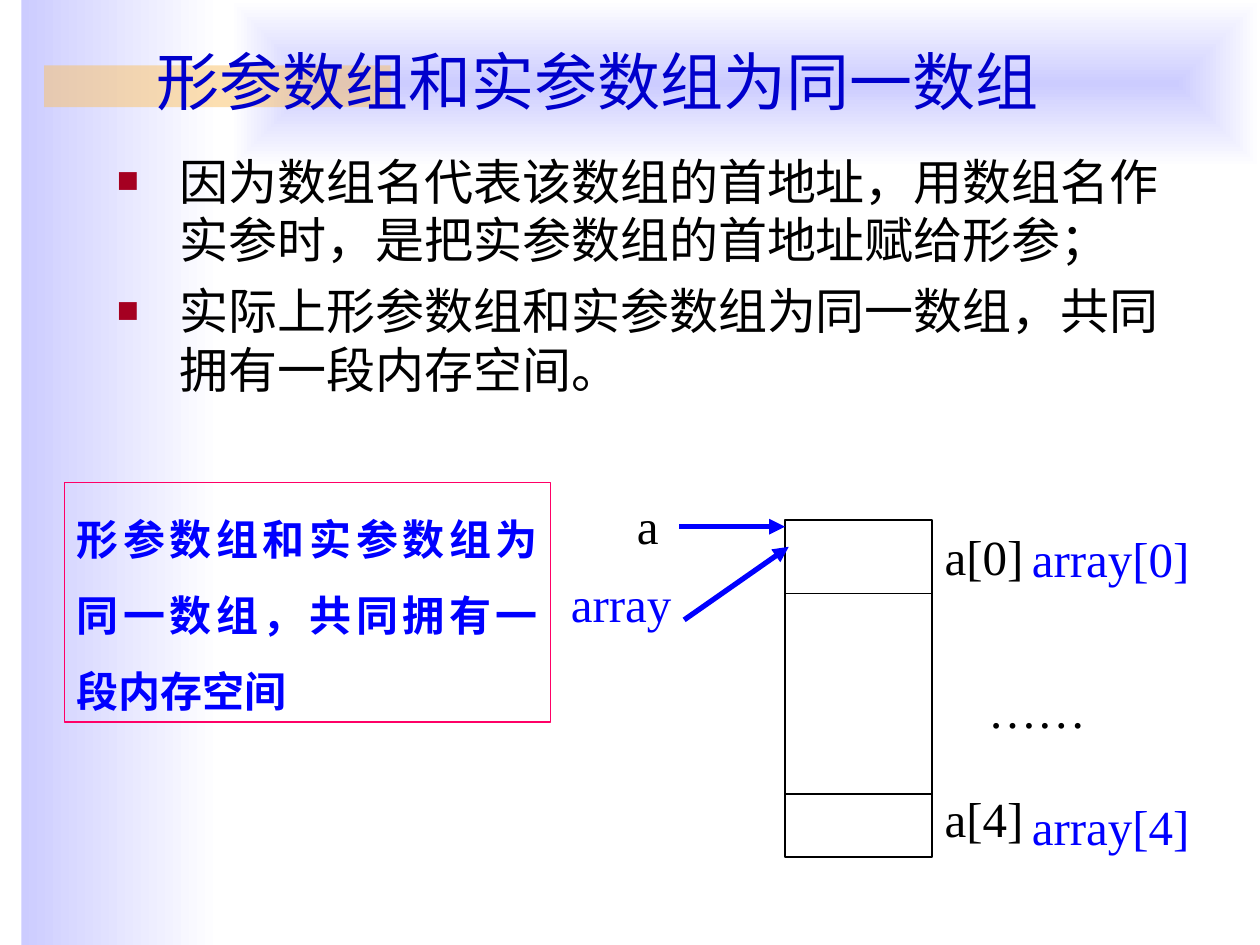
from lxml import etree
from pptx import Presentation
from pptx import util as u
from pptx.dml.color import RGBColor
from pptx.enum import shapes, text
from pptx.oxml import parse_xml
from pptx.oxml.ns import nsdecls, qn

TITLE = "形参数组和实参数组为同一数组"
POINTS = [
    "因为数组名代表该数组的首地址，用数组名作实参时，是把实参数组的首地址赋给形参；",
    "实际上形参数组和实参数组为同一数组，共同拥有一段内存空间。",
]
NOTE = "形参数组和实参数组为同一数组，共同拥有一段内存空间"

THEME = dict(
    latin="Times New Roman", cjk="Noto Sans CJK SC",
    title="0000CC", ink="000000", blue="0000FF", mark="A50021",
    frame="FF0066", pale="CCCCFF", white="FFFFFF", gold="FAC164",
    head=36, body=28, note=24,
)

# text, box, colour
LABELS = [
    ("a", (4.9, 3.88, 0.48, 0.57), "ink"),
    ("array", (4.43, 4.5, 1, 0.57), "blue"),
    ("a[0]", (7.4, 4.13, 0.82, 0.57), "ink"),
    ("a[4]", (7.4, 6.21, 0.82, 0.57), "ink"),
    ("array[0]", (8.03, 4.14, 1.57, 0.57), "blue"),
    ("array[4]", (8.03, 6.27, 1.57, 0.57), "blue"),
    ("……", (7.52, 5.34, 1.42, 0.57), "ink"),
]
MEMORY = (6.23, 4.13, 1.17, 2.67)
ROWS = [4.71, 6.3]
ARROWS = [(5.39, 4.18, 6.23, 4.18), (5.43, 4.92, 6.26, 4.34)]


def tint(name):
    return RGBColor.from_string(THEME[name])


def inch(box):
    return [u.Inches(v) for v in box]


def place(shape, box):
    shape.left, shape.top, shape.width, shape.height = inch(box)


def write(para, words, size, color, bold=False, latin="latin"):
    run = para.add_run()
    run.text = words
    font = run.font
    font.name, font.size, font.bold = THEME[latin], u.Pt(THEME[size]), bold
    font.color.rgb = tint(color)
    east = etree.SubElement(run._r.get_or_add_rPr(), qn("a:ea"))
    east.set("typeface", THEME["cjk"])


def rect(slide, box):
    shape = slide.shapes.add_shape(shapes.MSO_SHAPE.RECTANGLE, *inch(box))
    shape.shadow.inherit = False
    shape.line.fill.background()
    return shape


def fade(shape, way):
    """Fill with a pale-to-white gradient; way is the XML of its direction."""
    shape.fill.background()
    props = shape._element.spPr
    props.replace(props.find(qn("a:noFill")), parse_xml(
        f'<a:gradFill {nsdecls("a")} rotWithShape="0"><a:gsLst>'
        f'<a:gs pos="0"><a:srgbClr val="{THEME["pale"]}"/></a:gs>'
        f'<a:gs pos="100000"><a:srgbClr val="{THEME["white"]}"/></a:gs>'
        f'</a:gsLst>{way}</a:gradFill>'))


def line(slide, ends, color, width, arrow=False):
    link = slide.shapes.add_connector(
        shapes.MSO_CONNECTOR.STRAIGHT, *inch(ends))
    link.line.color.rgb = tint(color)
    link.line.width = u.Pt(width)
    if arrow:
        tail = etree.SubElement(link.line._get_or_add_ln(), qn("a:tailEnd"))
        tail.set("type", "triangle")
    etree.SubElement(link._element.spPr, qn("a:effectLst"))


def bullet(para):
    props = para._p.get_or_add_pPr()
    props.set("marL", str(u.Inches(0.5)))
    props.set("indent", str(-u.Inches(0.5)))
    color = etree.SubElement(props, qn("a:buClr"))
    etree.SubElement(color, qn("a:srgbClr")).set("val", THEME["mark"])
    etree.SubElement(props, qn("a:buSzPct")).set("val", "75000")
    etree.SubElement(props, qn("a:buFont")).set("typeface", THEME["latin"])
    etree.SubElement(props, qn("a:buChar")).set("char", "■")


def textbox(slide, box):
    shape = slide.shapes.add_textbox(*inch(box))
    shape.text_frame.word_wrap = True
    return shape


def backdrop(slide):
    fade(rect(slide, (0.17, 0, 1.58, 7.5)), '<a:lin ang="0" scaled="1"/>')
    fade(rect(slide, (1.83, 0, 8.17, 1.33)),
         '<a:path path="rect"><a:fillToRect l="50000" t="50000" '
         'r="50000" b="50000"/></a:path>')
    bar = rect(slide, (0.35, 0.52, 2.75, 0.33))
    bar.fill.solid()
    bar.fill.fore_color.rgb = tint("gold")
    color = bar._element.spPr.find(qn("a:solidFill"))[0]
    etree.SubElement(color, qn("a:alpha")).set("val", "50000")


def heading(slide):
    title = slide.shapes.title
    place(title, (1.14, -0.03, 8.5, 1.02))
    frame = title.text_frame
    frame.vertical_anchor = text.MSO_ANCHOR.BOTTOM
    frame.word_wrap = True
    para = frame.paragraphs[0]
    para.alignment = text.PP_ALIGN.LEFT
    write(para, TITLE, "head", "title")
    # bring the title in front of the backdrop
    slide.shapes._spTree.append(title._element)


def points(slide):
    frame = textbox(slide, (0.83, 1.15, 8.5, 2.2)).text_frame
    for i, words in enumerate(POINTS):
        para = frame.add_paragraph() if i else frame.paragraphs[0]
        bullet(para)
        if i:
            para.space_before = u.Pt(7)
        write(para, words, "body", "ink")


def note(slide):
    box = textbox(slide, (0.51, 3.83, 3.86, 1.9))
    box.line.color.rgb = tint("frame")
    box.line.width = u.Pt(0.75)
    para = box.text_frame.paragraphs[0]
    para.alignment = text.PP_ALIGN.JUSTIFY
    para.line_spacing = 1.5
    write(para, NOTE, "note", "blue", True, "cjk")


def diagram(slide):
    cells = rect(slide, MEMORY)
    cells.fill.background()
    cells.line.color.rgb = tint("ink")
    cells.line.width = u.Pt(1)
    left, _, width, _ = MEMORY
    for y in ROWS:
        line(slide, (left, y, left + width, y), "ink", 1)
    for ends in ARROWS:
        line(slide, ends, "blue", 3, True)
    for words, box, color in LABELS:
        frame = textbox(slide, box).text_frame
        # the full box width keeps each label on one line
        frame.margin_left = frame.margin_right = 0
        frame.vertical_anchor = text.MSO_ANCHOR.MIDDLE
        para = frame.paragraphs[0]
        para.alignment = text.PP_ALIGN.CENTER
        write(para, words, "body", color)


def main():
    deck = Presentation()
    deck.slide_width, deck.slide_height = inch((10, 7.5))
    slide = deck.slides.add_slide(deck.slide_layouts[5])
    for draw in (backdrop, heading, points, diagram, note):
        draw(slide)
    deck.save("out.pptx")


if __name__ == "__main__":
    main()
